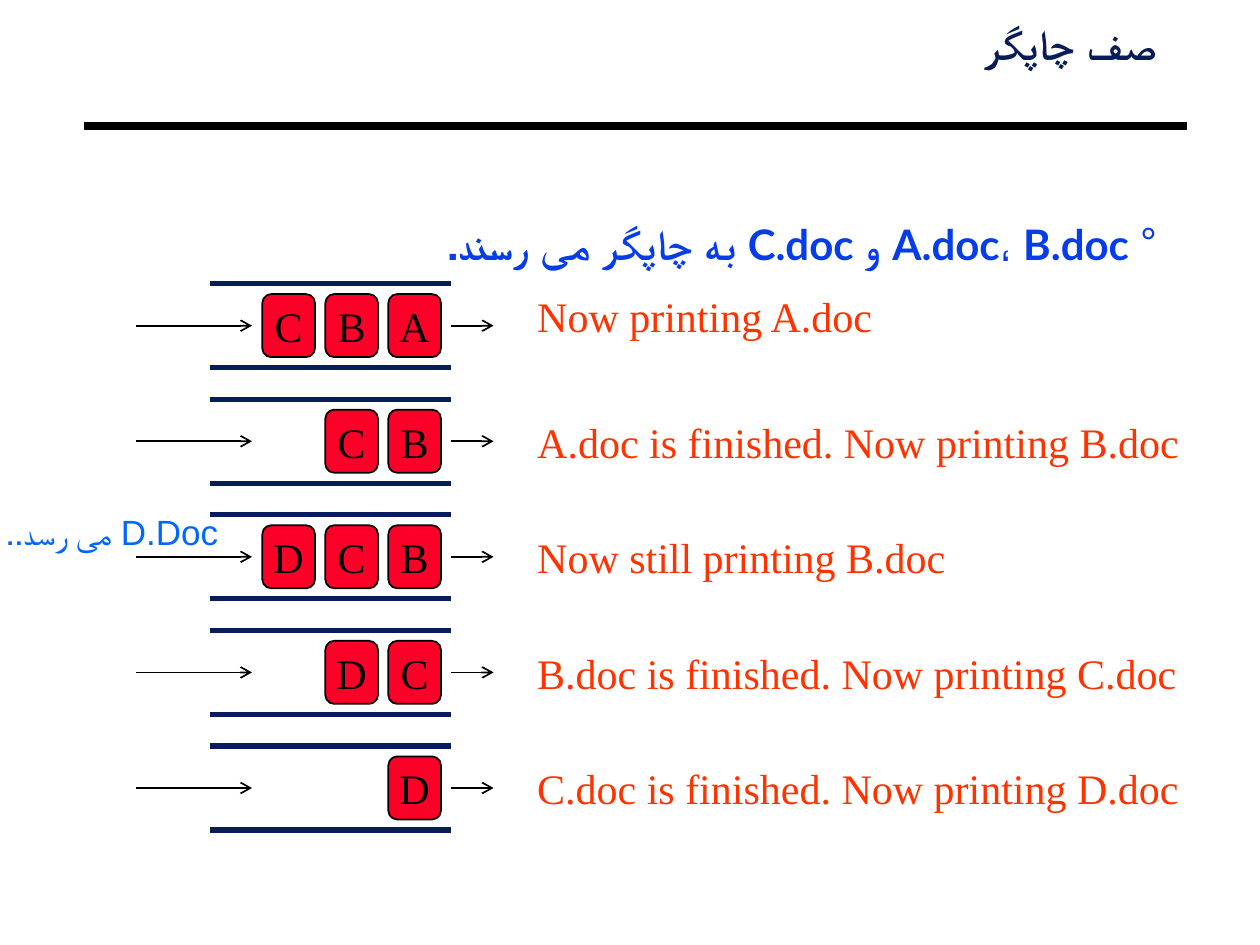
from dataclasses import dataclass

from lxml import etree
from pptx import Presentation
from pptx import util as u
from pptx.dml.color import RGBColor
from pptx.enum import shapes, text
from pptx.oxml import ns


@dataclass(frozen=True)
class Theme:
    navy: str = "081D58"
    blue: str = "063DE8"
    sky: str = "0066FF"
    red: str = "FC0128"
    flame: str = "FF3300"
    black: str = "000000"
    sans: str = "Arial"
    body: str = "Lato"
    serif: str = "Times New Roman"
    large: int = 24
    small: int = 20


THEME = Theme()

# Queue content (next out first) and the remark beside it
STEPS = [
    ("ABC", "Now printing A.doc", 10.16),
    ("BC", "A.doc is finished. Now printing B.doc", 13.55),
    ("BCD", "Now still printing B.doc", 9.95),
    ("CD", "B.doc is finished. Now printing C.doc", 13.76),
    ("D", "C.doc is finished. Now printing D.doc", 13.97),
]


def color(code):
    return RGBColor.from_string(code)


def style(para, face, size, code, bold=False):
    font = para.font
    font.name, font.size, font.bold = face, u.Pt(size), bold
    font.color.rgb = color(code)


def place(item, left, top, width, height):
    item.left, item.top = u.Cm(left), u.Cm(top)
    item.width, item.height = u.Cm(width), u.Cm(height)


def inset(frame, side, edge):
    frame.margin_left = frame.margin_right = u.Cm(side)
    frame.margin_top = frame.margin_bottom = u.Cm(edge)


def right_to_left(para):
    para.alignment = text.PP_ALIGN.RIGHT
    props = para._p.get_or_add_pPr()
    props.set("rtl", "1")
    return props


def add_line(slide, start, end, code, weight, arrow=False):
    line = slide.shapes.add_connector(
        shapes.MSO_CONNECTOR.STRAIGHT, *map(u.Cm, start + end))
    line.line.color.rgb = color(code)
    line.line.width = u.Pt(weight)
    etree.SubElement(line._element.spPr, ns.qn("a:effectLst"))
    if arrow:
        etree.SubElement(line.line._get_or_add_ln(), ns.qn("a:tailEnd"), type="arrow")


def add_label(slide, box, words, face, size, code):
    label = slide.shapes.add_textbox(*map(u.Cm, box))
    frame = label.text_frame
    frame.word_wrap = True
    inset(frame, 0.25, 0.13)
    para = frame.paragraphs[0]
    para.text = words
    style(para, face, size, code)
    return para


def fill_holder(holder, box, words):
    place(holder, *box)
    frame = holder.text_frame
    frame.text = words
    frame.word_wrap = True
    frame.auto_size = text.MSO_AUTO_SIZE.NONE
    frame.vertical_anchor = text.MSO_ANCHOR.TOP
    inset(frame, 0.18, 0.08)
    para = frame.paragraphs[0]
    para.space_before = u.Pt(0)
    return para


def add_head(slide, left, top, width):
    """Title above a heavy rule."""
    para = fill_holder(slide.shapes.title, (left, top, width, 1.07), "صف چاپگر")
    right_to_left(para)
    para.line_spacing = 0.87
    style(para, THEME.sans, THEME.large, THEME.navy, True)
    rule = top + 2.11
    add_line(slide, (left - 0.2, rule), (left + width + 0.43, rule), THEME.black, 4.5)


def add_intro(slide, box):
    """Single bulleted statement."""
    para = fill_holder(slide.placeholders[1], box,
                       "A.doc، B.doc و C.doc به چاپگر می رسند.")
    props = right_to_left(para)
    props.set("marL", str(u.Cm(0.56)))
    props.set("indent", str(-u.Cm(0.56)))
    tint = etree.SubElement(props, ns.qn("a:buClr"))
    etree.SubElement(tint, ns.qn("a:srgbClr"), val=THEME.blue)
    etree.SubElement(props, ns.qn("a:buChar"), char="°")
    para.line_spacing = 1.5
    style(para, THEME.body, THEME.large, THEME.blue, True)


def add_job(slide, left, top, name):
    """One document waiting in the queue."""
    job = slide.shapes.add_shape(
        shapes.MSO_SHAPE.ROUNDED_RECTANGLE,
        u.Cm(left), u.Cm(top), u.Cm(1.06), u.Cm(1.27))
    job.shadow.inherit = False
    job.fill.solid()
    job.fill.fore_color.rgb = color(THEME.red)
    job.line.color.rgb = color(THEME.black)
    job.line.width = u.Pt(1)
    frame = job.text_frame
    frame.word_wrap = False
    frame.vertical_anchor = text.MSO_ANCHOR.MIDDLE
    inset(frame, 0.25, 0.13)
    para = frame.paragraphs[0]
    para.text = name
    para.alignment = text.PP_ALIGN.CENTER
    style(para, THEME.serif, THEME.large, THEME.black)


def add_queue(slide, left, top, jobs):
    """Two rails with jobs lined up at the right, and arrows in and out."""
    width, height = 4.87, 1.69
    right, mid = left + width, top + height / 2
    for rail in (top, top + height):
        add_line(slide, (left, rail), (right, rail), THEME.navy, 3)
    for place_no, name in enumerate(jobs):
        add_job(slide, right - 1.27 * (place_no + 1), top + 0.21, name)
    add_line(slide, (left - 1.48, mid), (left + 0.85, mid), THEME.black, 1, True)
    add_line(slide, (right, mid), (right + 0.85, mid), THEME.black, 1, True)


def add_steps(slide, left, top, pitch):
    """Queue states from top to bottom, each with its remark."""
    for row, (jobs, remark, width) in enumerate(STEPS):
        y = top + row * pitch
        add_queue(slide, left, y, jobs)
        drop = 0.21 if row else 0
        add_label(slide, (left + 6.35, y + drop, width, 1.27), remark,
                  THEME.serif, THEME.large, THEME.flame)
    # New arrival at the third state
    para = add_label(slide, (left - 4.66, top + 2 * pitch - 0.21, 5.08, 1.96),
                     "D.Doc می رسد..", THEME.sans, THEME.small, THEME.sky)
    right_to_left(para)


def main():
    deck = Presentation()
    deck.slide_width, deck.slide_height = u.Cm(25.4), u.Cm(19.05)
    slide = deck.slides.add_slide(deck.slide_layouts[1])
    add_head(slide, 1.9, 0.43, 21.6)
    add_intro(slide, (1.9, 3.81, 21.6, 1.68))
    add_steps(slide, 4.23, 5.72, 2.33)
    deck.save("out.pptx")


if __name__ == "__main__":
    main()
